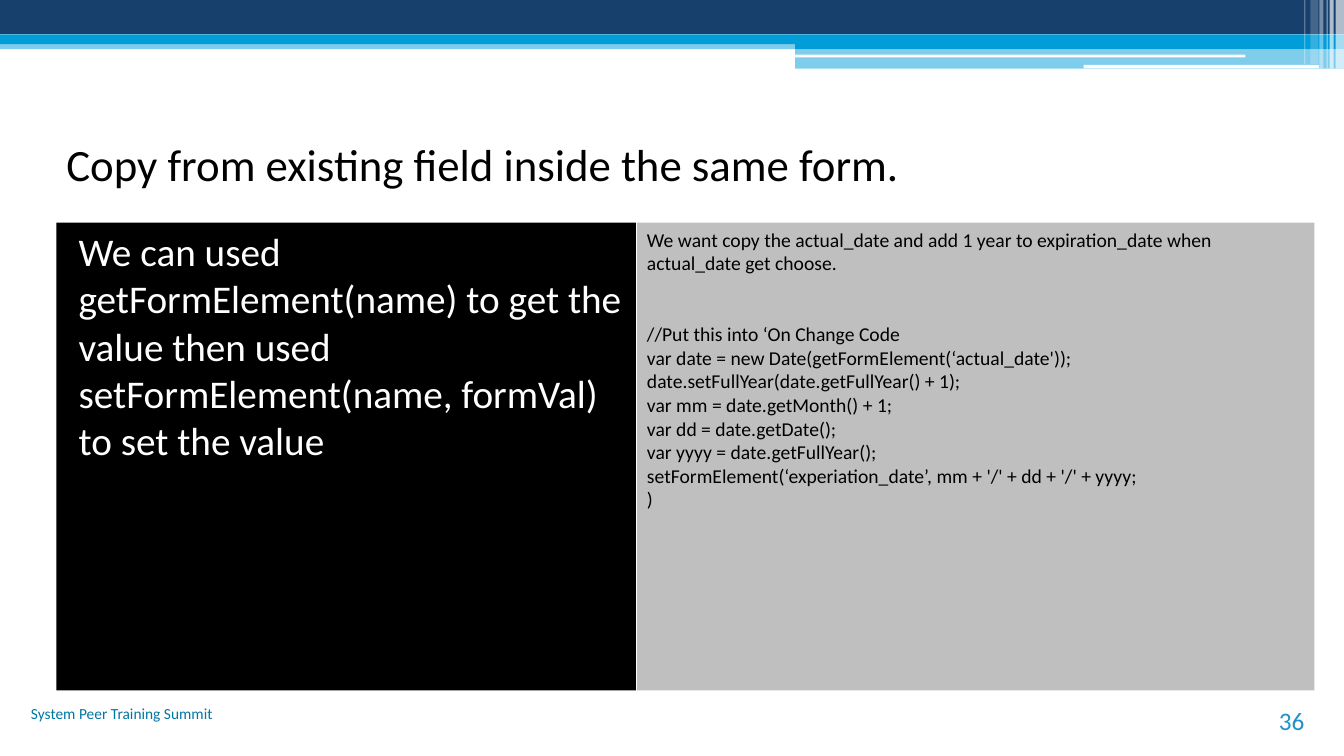
from pptx import Presentation
from pptx.dml.color import RGBColor
from pptx.enum import shapes, text
from pptx.oxml import ns, xmlchemy
from pptx.util import Pt

NAVY, BLUE, WHITE, BLACK, GREY = "17406D", "009DD9", "FFFFFF", "000000", "BFBFBF"
RECT = shapes.MSO_SHAPE.RECTANGLE
ROUNDED = shapes.MSO_SHAPE.ROUNDED_RECTANGLE
LEFT, RIGHT = text.PP_ALIGN.LEFT, text.PP_ALIGN.RIGHT
TOP, MIDDLE, BOTTOM = text.MSO_ANCHOR.TOP, text.MSO_ANCHOR.MIDDLE, text.MSO_ANCHOR.BOTTOM

SLIDE_WIDTH, SLIDE_HEIGHT = 960, 540
MARGIN = 40.32
PANEL_TOP, PANEL_HEIGHT = 159.12, 334.08

BANDS = [
    (0, 28.8, SLIDE_WIDTH, 6.3, BLUE, 50),
    (0, 0, SLIDE_WIDTH, 24.5, NAVY, 100),
    (0, 24.5, SLIDE_WIDTH, 7, BLUE, 100),
    (568, 28, 392, 7, BLUE, 100),
    (568, 35, 392, 14, BLUE, 50),
]
GROOVES = [(567.5, 39, 322, 2), (774, 46.3, 168, 2.6)]
STRIPES = [
    (954, 6, 49, 65),
    (949.8, 2.8, 49, 65),
    (947.6, 0.8, 49, 60),
    (942.5, 2.8, 49, 40),
    (936, 5.8, 46, 20),
    (931.6, 0.8, 46, 30),
]

TITLE = "Copy from existing field inside the same form."
SUMMARY = (
    "We can used getFormElement(name) to get the value then used "
    "setFormElement(name, formVal) to set the value"
)
GOAL = (
    "We want copy the actual_date and add 1 year to expiration_date "
    "when actual_date get choose."
)
CODE = [
    "//Put this into ‘On Change Code",
    "var date = new Date(getFormElement(‘actual_date'));",
    "date.setFullYear(date.getFullYear() + 1);",
    "var mm = date.getMonth() + 1;",
    "var dd = date.getDate();",
    "var yyyy = date.getFullYear();",
    "setFormElement(‘experiation_date’, mm + '/' + dd + '/' + yyyy;",
    ")",
]


def color(value):
    return RGBColor.from_string(value)


def add_block(page, left, top, width, height, fill, opacity=100, kind=RECT):
    block = page.shapes.add_shape(kind, Pt(left), Pt(top), Pt(width), Pt(height))
    block.shadow.inherit = False
    block.line.fill.background()
    block.fill.solid()
    block.fill.fore_color.rgb = color(fill)
    if opacity < 100:
        tint = block.fill._xPr.find(".//" + ns.qn("a:srgbClr"))
        alpha = xmlchemy.OxmlElement("a:alpha")
        alpha.set("val", str(opacity * 1000))
        tint.append(alpha)
    return block


def write(box, lines, size, ink, align=LEFT, anchor=TOP):
    frame = box.text_frame
    frame.word_wrap = True
    frame.vertical_anchor = anchor
    frame.text = "\n".join(lines)
    for para in frame.paragraphs:
        para.alignment = align
        para.font.name = "Calibri"
        para.font.size = Pt(size)
        para.font.color.rgb = color(ink)
    return frame


def add_label(page, left, top, width, height, line, size, ink, align=LEFT, anchor=TOP):
    box = page.shapes.add_textbox(Pt(left), Pt(top), Pt(width), Pt(height))
    write(box, [line], size, ink, align, anchor)


def add_header(page):
    for band in BANDS:
        add_block(page, *band)
    for groove in GROOVES:
        add_block(page, *groove, WHITE, kind=ROUNDED)
    for left, width, height, opacity in STRIPES:
        add_block(page, left, 0, width, height, WHITE, opacity)


def add_summary_panel(page):
    panel = add_block(page, MARGIN, PANEL_TOP, 414, PANEL_HEIGHT, BLACK)
    frame = write(panel, [SUMMARY], 28, WHITE)
    frame.margin_left = Pt(15.84)


def add_code_panel(page):
    panel = add_block(page, 455.04, PANEL_TOP, 483.84, PANEL_HEIGHT, GREY)
    frame = write(panel, [GOAL, *CODE], 14, BLACK)
    frame.paragraphs[1].space_before = Pt(34)


def main():
    deck = Presentation()
    deck.slide_width, deck.slide_height = Pt(SLIDE_WIDTH), Pt(SLIDE_HEIGHT)
    page = deck.slides.add_slide(deck.slide_layouts[6])
    add_header(page)
    add_label(page, MARGIN, 74.88, 851.76, 84.24, TITLE, 32, BLACK, anchor=MIDDLE)
    add_summary_panel(page)
    add_label(page, 0, 499.68, 159.12, 36, "System Peer Training Summit", 11, "0076A3", RIGHT)
    add_label(page, 858.96, 500.4, 79.92, 28.8, "36", 18, "2191C9", RIGHT, BOTTOM)
    add_code_panel(page)
    deck.save("out.pptx")


if __name__ == "__main__":
    main()
